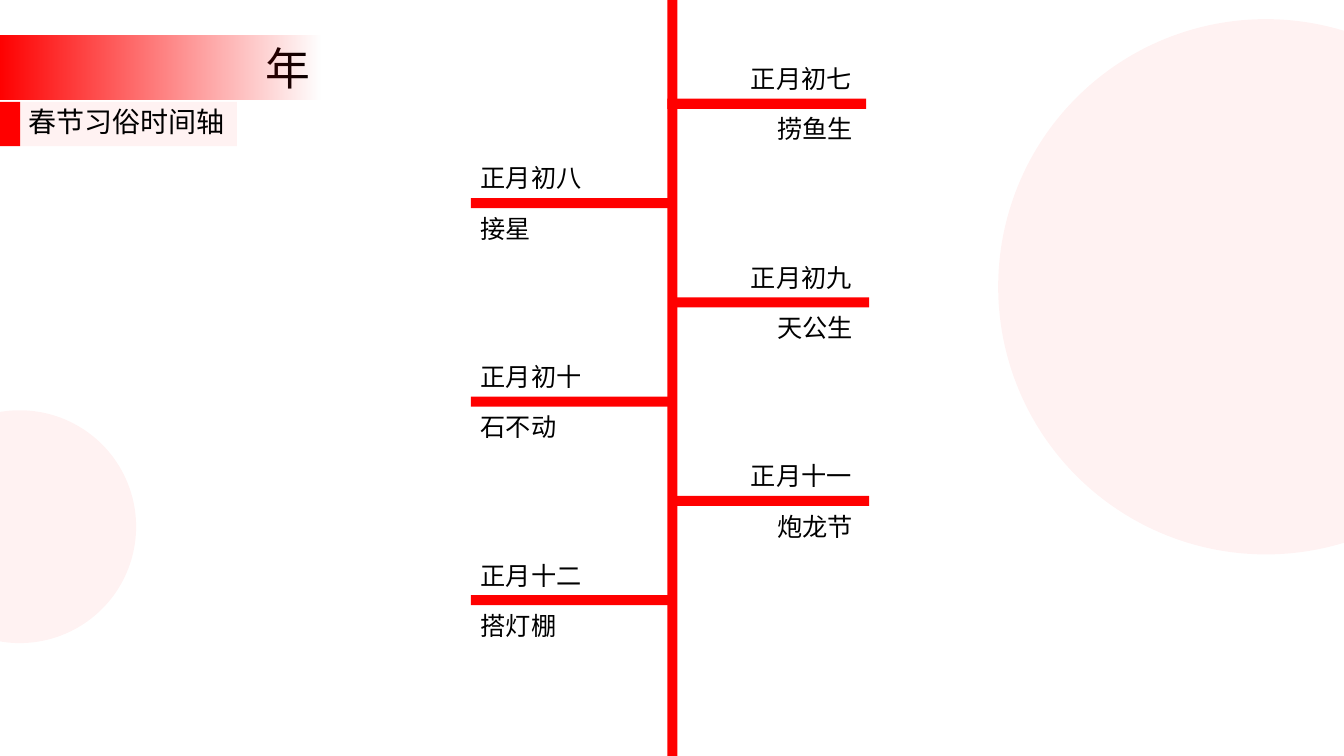
from lxml import etree
from pptx import Presentation
from pptx.dml.color import RGBColor
from pptx.enum.shapes import MSO_SHAPE
from pptx.enum.text import PP_ALIGN
from pptx.oxml.ns import qn
from pptx.util import Inches, Pt

RED = RGBColor(0xFF, 0x00, 0x00)
BLACK = RGBColor(0x00, 0x00, 0x00)
RECT, OVAL = MSO_SHAPE.RECTANGLE, MSO_SHAPE.OVAL
LEFT, RIGHT = PP_ALIGN.LEFT, PP_ALIGN.RIGHT
PALE = 5

BAR_TOP, BAR_STEP, BAR_WIDTH, BAR_HEIGHT = 0.98, 0.985, 1.97, 0.1
LABEL_HEIGHT = 0.4
LEFT_X, RIGHT_BAR_X = 4.67, 6.65
RIGHT_DATE_X, RIGHT_CUSTOM_X = 7.35, 7.61

EVENTS = [
    ("正月初七", "捞鱼生"),
    ("正月初八", "接星"),
    ("正月初九", "天公生"),
    ("正月初十", "石不动"),
    ("正月十一", "炮龙节"),
    ("正月十二", "搭灯棚"),
]


def set_alpha(color, percent):
    alpha = etree.SubElement(color, qn("a:alpha"))
    alpha.set("val", str(percent * 1000))


def add_block(shapes, kind, x, y, w, h, opacity=100):
    s = shapes.add_shape(kind, Inches(x), Inches(y), Inches(w), Inches(h))
    s.shadow.inherit = False
    s.line.fill.background()
    s.fill.solid()
    s.fill.fore_color.rgb = RED
    if opacity < 100:
        set_alpha(s._element.spPr.find(".//" + qn("a:srgbClr")), opacity)
    return s


def add_fading_block(shapes, x, y, w, h):
    """Red rectangle that fades to transparent on its right side."""
    s = add_block(shapes, RECT, x, y, w, h)
    s.fill.gradient()
    s.fill.gradient_angle = 0
    for stop in s.fill.gradient_stops:
        stop.color.rgb = RED
    set_alpha(s._element.spPr.findall(".//" + qn("a:srgbClr"))[-1], 0)


def add_text(shapes, text, x, y, w, h, size, font="Arial", align=LEFT):
    tf = shapes.add_textbox(Inches(x), Inches(y), Inches(w), Inches(h)).text_frame
    tf.word_wrap = True
    p = tf.paragraphs[0]
    p.text = text
    p.alignment = align
    p.font.name = font
    p.font.size = Pt(size)
    p.font.color.rgb = BLACK


def add_header(slide):
    shapes = slide.shapes.add_group_shape().shapes
    add_text(shapes, "年", 0, 0.35, 3.18, 0.64, 32, "Noto Sans CJK SC", RIGHT)
    add_fading_block(shapes, 0, 0.35, 3.19, 0.64)
    add_block(shapes, RECT, 0.2, 1.01, 2.15, 0.44, PALE)
    add_block(shapes, RECT, 0, 1.01, 0.2, 0.44)
    add_text(shapes, "春节习俗时间轴", 0.18, 0.99, 2.17, 0.44, 20)


def add_event(slide, index, date, custom):
    """Branch of the timeline: even ones go right, odd ones left."""
    shapes = slide.shapes.add_group_shape().shapes
    y = BAR_TOP + index * BAR_STEP
    if index % 2:
        bar_x = date_x = custom_x = LEFT_X
    else:
        bar_x, date_x, custom_x = RIGHT_BAR_X, RIGHT_DATE_X, RIGHT_CUSTOM_X
        if index == 0:
            bar_x -= 0.03
    add_block(shapes, RECT, bar_x, y, BAR_WIDTH, BAR_HEIGHT)
    labels = [(date, date_x, y - LABEL_HEIGHT), (custom, custom_x, y + BAR_HEIGHT)]
    for text, x, top in labels:
        width = 0.25 * len(text) + 0.25
        add_text(shapes, text, x, top, width, LABEL_HEIGHT, 18)


def main():
    prs = Presentation()
    prs.slide_width, prs.slide_height = Inches(13.33), Inches(7.5)
    slide = prs.slides.add_slide(prs.slide_layouts[6])
    add_block(slide.shapes, OVAL, 9.9, 0.19, 5.31, 5.31, PALE)
    add_block(slide.shapes, OVAL, -0.96, 4.07, 2.31, 2.31, PALE)
    add_header(slide)
    add_block(slide.shapes, RECT, 6.62, 0, 0.1, 7.5)
    for index, (date, custom) in enumerate(EVENTS):
        add_event(slide, index, date, custom)
    prs.save("out.pptx")


if __name__ == "__main__":
    main()
